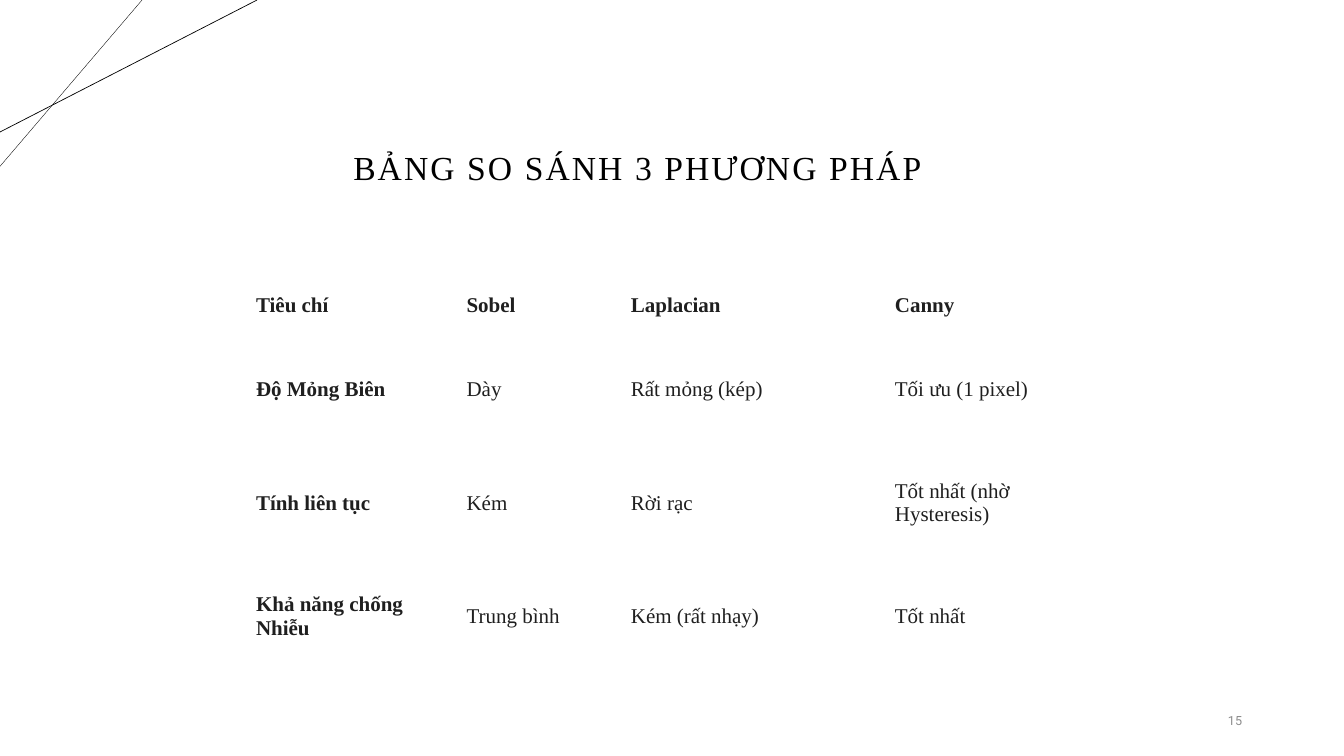
from dataclasses import dataclass

from lxml.etree import SubElement
from pptx import Presentation
from pptx.dml.color import RGBColor
from pptx.enum.shapes import MSO_CONNECTOR
from pptx.enum.text import MSO_ANCHOR, PP_ALIGN
from pptx.oxml.ns import qn
from pptx.util import Pt


@dataclass(frozen=True)
class Theme:
    serif: str = "Times New Roman"
    sans: str = "Roboto"
    black: str = "000000"
    ink: str = "1F1F1F"
    grey: str = "8C8C8C"
    white: str = "FFFFFF"
    title_size: float = 24
    cell_size: float = 15
    number_size: float = 9


THEME = Theme()
CRITERIA = [
    ["Tiêu chí", "Sobel", "Laplacian", "Canny"],
    ["Độ Mỏng Biên", "Dày", "Rất mỏng (kép)", "Tối ưu (1 pixel)"],
    ["Tính liên tục", "Kém", "Rời rạc", "Tốt nhất (nhờ Hysteresis)"],
    ["Khả năng chống Nhiễu", "Trung bình", "Kém (rất nhạy)", "Tốt nhất"],
]
COLUMN_WIDTHS = [150.4, 117.4, 188.6, 152.6]
ROW_HEIGHTS = [59.8, 59.8, 102.2, 59.8]


def style_font(font, face, size, color, bold=False):
    font.name = face
    font.size = Pt(size)
    font.bold = bold
    font.color.rgb = RGBColor.from_string(color)


def add_accent_line(slide, top_x, left_y, weight):
    accent = slide.shapes.add_connector(
        MSO_CONNECTOR.STRAIGHT, Pt(top_x), Pt(0), Pt(0), Pt(left_y)
    )
    accent.line.width = Pt(weight)
    accent.line.color.rgb = RGBColor.from_string(THEME.black)
    SubElement(accent._element.spPr, qn("a:effectLst"))


def add_label(slide, text, bounds, align, face, size, color):
    frame = slide.shapes.add_textbox(*map(Pt, bounds)).text_frame
    frame.word_wrap = True
    frame.vertical_anchor = MSO_ANCHOR.MIDDLE
    frame.text = text
    label = frame.paragraphs[0]
    label.alignment = align
    style_font(label.runs[0].font, face, size, color)
    return label


def add_title(slide, text):
    title = add_label(slide, text, (139, 87.1, 632.9, 68.4), PP_ALIGN.CENTER,
                      THEME.serif, THEME.title_size, THEME.black)
    title.line_spacing = 0.9
    title.runs[0].font._element.set("spc", "150")


def set_borders(cell, color, weight):
    properties = cell._tc.get_or_add_tcPr()
    for position, side in enumerate(("lnL", "lnR", "lnT", "lnB")):
        border = properties.makeelement(qn(f"a:{side}"), {"w": str(Pt(weight))})
        fill = SubElement(border, qn("a:solidFill"))
        SubElement(fill, qn("a:srgbClr"), val=color)
        properties.insert(position, border)


def fill_cell(cell, text, bold):
    cell.text = text
    cell.vertical_anchor = MSO_ANCHOR.MIDDLE
    cell.margin_left = cell.margin_right = Pt(2.2)
    cell.margin_top = cell.margin_bottom = Pt(1.4)
    cell.fill.background()
    set_borders(cell, THEME.white, 0.6)
    style_font(cell.text_frame.paragraphs[0].runs[0].font,
               THEME.serif, THEME.cell_size, THEME.ink, bold)


def add_comparison(slide, left, top):
    comparison = slide.shapes.add_table(
        len(ROW_HEIGHTS), len(COLUMN_WIDTHS), Pt(left), Pt(top),
        Pt(sum(COLUMN_WIDTHS)), Pt(sum(ROW_HEIGHTS))
    ).table
    comparison.horz_banding = False
    for column, width in zip(comparison.columns, COLUMN_WIDTHS):
        column.width = Pt(width)
    for row, height in zip(comparison.rows, ROW_HEIGHTS):
        row.height = Pt(height)
    for r, entries in enumerate(CRITERIA):
        for c, entry in enumerate(entries):
            fill_cell(comparison.cell(r, c), entry, bold=r == 0 or c == 0)


def main():
    deck = Presentation()
    deck.slide_width, deck.slide_height = Pt(960), Pt(540)
    slide = deck.slides.add_slide(deck.slide_layouts[6])
    slide.background.fill.solid()
    slide.background.fill.fore_color.rgb = RGBColor.from_string(THEME.white)
    add_accent_line(slide, 101.5, 118.8, 0.25)
    add_accent_line(slide, 183.6, 94.3, 0.5)
    add_title(slide, "BẢNG SO SÁNH 3 PHƯƠNG PHÁP")
    add_label(slide, "15", (816.5, 500.4, 77.8, 28.8), PP_ALIGN.RIGHT,
              THEME.sans, THEME.number_size, THEME.grey)
    add_comparison(slide, 180.7, 188.6)
    deck.save("out.pptx")


if __name__ == "__main__":
    main()
